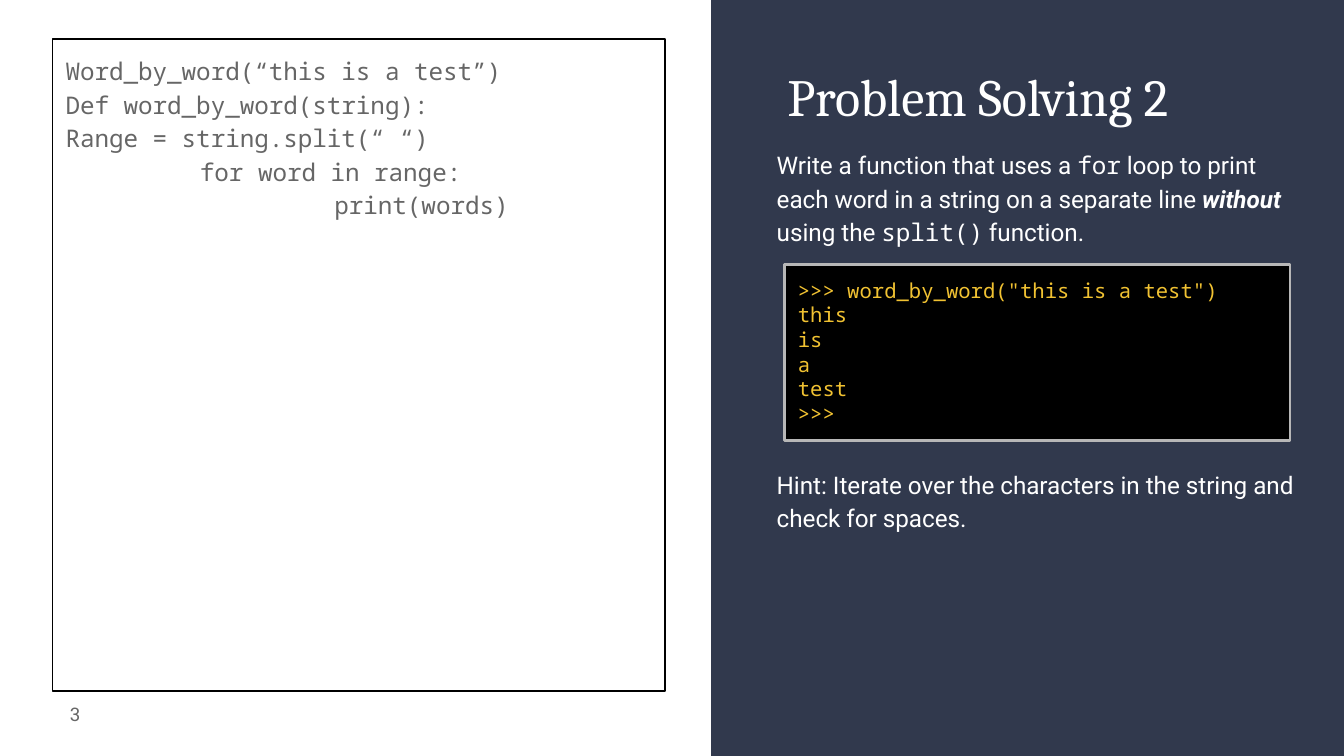
from pptx import Presentation
from pptx.dml.color import RGBColor
from pptx.enum.shapes import MSO_SHAPE as Shape
from pptx.enum.text import MSO_ANCHOR as Anchor, MSO_AUTO_SIZE as AutoSize, PP_ALIGN as Align
from pptx.util import Cm, Pt

# Content: a paragraph is a list of runs (text, font, style)
SERIF, MONO, SANS = "Cambria", "Noto Sans Mono", "Roboto"
NAVY, WHITE, GRAY, BLACK = "31394D", "FFFFFF", "666666", "000000"
SILVER, YELLOW = "B7B7B7", "F1C232"

TITLE = "Problem Solving 2"
PAGE_NUMBER = "3"
CODE_LINES = [  # indent level, text
    (0, "Word_by_word(“this is a test”)"),
    (0, "Def word_by_word(string):"),
    (0, "Range = string.split(“ “)"),
    (1, "for word in range:"),
    (2, "print(words)"),
]
TASK = [
    ("Write a function that uses a ", SANS, ""),
    ("for", MONO, ""),
    (" loop to print each word in a string on a separate line ", SANS, ""),
    ("without", SANS, "bold italic"),
    (" using the ", SANS, ""),
    ("split()", MONO, ""),
    (" function.", SANS, ""),
]
HINT = [("Hint: Iterate over the characters in the string and check for spaces.", SANS, "")]
CONSOLE_LINES = ['>>> word_by_word("this is a test")', "this", "is", "a", "test", ">>>"]

# Layout in centimetres: left, top, width, height
PANEL_BOX = (13.44, 0, 11.98, 14.29)
NUMBER_BOX = (0.25, 12.95, 1.52, 1.09)
TITLE_BOX = (14.63, 0.97, 10.29, 1.78)
CODE_BOX = (0.99, 0.74, 11.58, 12.32)
TASK_BOX = (14.43, 2.51, 10.29, 8.97)
CONSOLE_BOX = (14.83, 5, 9.55, 3.33)
INSET, TAB = 0.25, 2.54
HINT_GAP = 117.5  # points left free for the console


def color(value):
    return RGBColor.from_string(value)


def place(shape, box):
    shape.left, shape.top, shape.width, shape.height = (Cm(value) for value in box)


def paint(shape, fill=None, line=None, width=0.75):
    shape.shadow.inherit = False
    if fill:
        shape.fill.solid()
        shape.fill.fore_color.rgb = color(fill)
    else:
        shape.fill.background()
    if line:
        shape.line.color.rgb = color(line)
        shape.line.width = Pt(width)
    else:
        shape.line.fill.background()


def write(shape, paragraphs, size, text_color, align=Align.LEFT, anchor=Anchor.TOP, spacing=1.0):
    frame = shape.text_frame
    frame.word_wrap, frame.auto_size = True, AutoSize.NONE
    frame.vertical_anchor = anchor
    frame.margin_left = frame.margin_right = Cm(INSET)
    frame.margin_top = frame.margin_bottom = Cm(INSET)
    for index, runs in enumerate(paragraphs):
        paragraph = frame.add_paragraph() if index else frame.paragraphs[0]
        paragraph.alignment, paragraph.line_spacing = align, spacing
        for text, font, style in runs:
            run = paragraph.add_run()
            run.text = text
            run.font.name, run.font.size = font, Pt(size)
            run.font.bold, run.font.italic = "bold" in style, "italic" in style
            run.font.color.rgb = color(text_color)
    return frame.paragraphs


presentation = Presentation()
presentation.slide_width, presentation.slide_height = Cm(25.4), Cm(14.29)
slide = presentation.slides.add_slide(presentation.slide_layouts[5])
shapes = slide.shapes
title = shapes.title

# Navy side panel with its slanted overlay, both behind the title
panel = shapes.add_shape(Shape.RECTANGLE, *(Cm(value) for value in PANEL_BOX))
left, right = Cm(PANEL_BOX[0]), Cm(PANEL_BOX[0] + PANEL_BOX[2])
builder = shapes.build_freeform(left, 0)
builder.add_line_segments([(right, 0), (right, Cm(9.75)), (left, Cm(13.56))], close=True)
for shape in (panel, builder.convert_to_shape()):
    paint(shape, NAVY)
    title.element.addprevious(shape.element)

# Title and page number
place(title, TITLE_BOX)
write(title, [[(TITLE, SERIF, "")]], 28, WHITE)
number = shapes.add_textbox(*(Cm(value) for value in NUMBER_BOX))
write(number, [[(PAGE_NUMBER, SANS, "")]], 10, GRAY, Align.RIGHT, Anchor.MIDDLE)

# Framed code on the left
code = shapes.add_shape(Shape.RECTANGLE, *(Cm(value) for value in CODE_BOX))
paint(code, line=BLACK)
code_runs = [[(text, MONO, "")] for _, text in CODE_LINES]
for (level, _), paragraph in zip(CODE_LINES, write(code, code_runs, 13, GRAY, spacing=1.15)):
    properties = paragraph._p.get_or_add_pPr()
    properties.set("marL", str(Cm(TAB * level)))
    properties.set("indent", "0")

# Task and hint
task = shapes.add_textbox(*(Cm(value) for value in TASK_BOX))
hint = write(task, [TASK, HINT], 13, WHITE, spacing=1.15)[-1]
hint.space_before, hint.space_after = Pt(HINT_GAP), Pt(16)

# Console with the expected output
console = shapes.add_shape(Shape.RECTANGLE, *(Cm(value) for value in CONSOLE_BOX))
paint(console, BLACK, SILVER, 1.5)
write(console, [[(text, MONO, "")] for text in CONSOLE_LINES], 11, YELLOW)

presentation.save("out.pptx")
